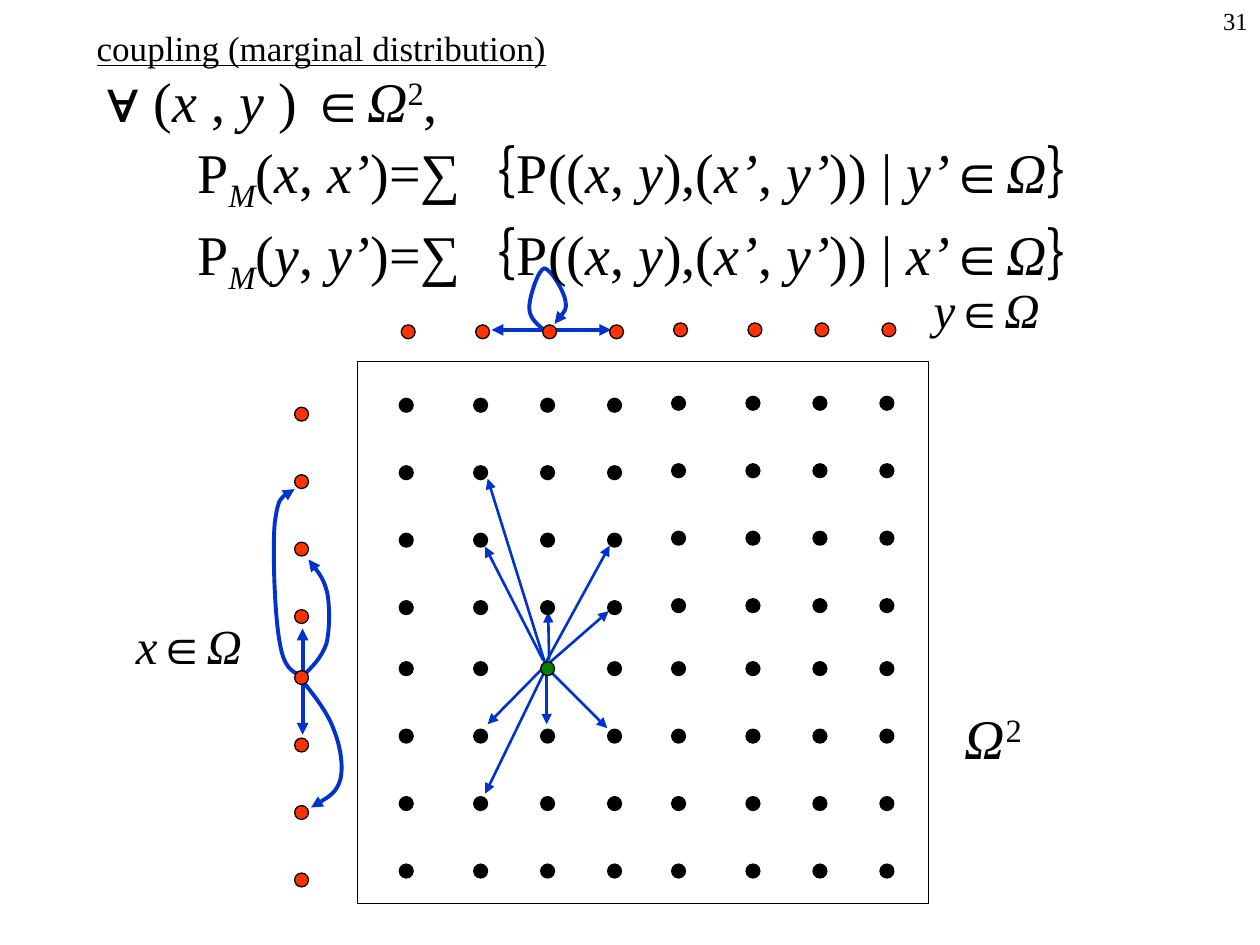
from dataclasses import dataclass
from itertools import product

from pptx import Presentation
from pptx import util as u
from pptx.dml.color import RGBColor
from pptx.enum import shapes, text
from pptx.oxml.ns import qn
from pptx.oxml.xmlchemy import OxmlElement


@dataclass(frozen=True)
class Theme:
    face: str = "Times New Roman"
    ink: str = "000000"
    move: str = "0033CC"
    state: str = "FF3300"
    start: str = "008000"
    formula: int = 32
    label: int = 28
    heading: int = 20
    page: int = 14


THEME = Theme()
MARKS = {"*": "italic", "^": "30000", "_": "-25000"}


def split_marks(markup):
    """Yield (words, italic, baseline); * toggles italic, ^ raises, _ lowers."""
    words, italic, baseline = "", False, None
    for char in markup + "*":
        if char not in MARKS:
            words += char
            continue
        if words:
            yield words, italic, baseline
        words = ""
        if char == "*":
            italic = not italic
        else:
            baseline = None if baseline else MARKS[char]


class SlideWriter:
    def __init__(self, slide, theme):
        self.shapes, self.theme = slide.shapes, theme

    def text(self, left, top, width, height, lines, size, wrap=True,
             anchor=text.MSO_ANCHOR.TOP, underline=None):
        """Each line is a pair: markup and a dict of paragraph format values."""
        frame = self.shapes.add_textbox(*map(u.Cm, (left, top, width, height))).text_frame
        frame.word_wrap, frame.vertical_anchor = wrap, anchor
        for i, (markup, layout) in enumerate(lines):
            para = frame.add_paragraph() if i else frame.paragraphs[0]
            for name, value in layout.items():
                if name == "margin":
                    para._p.get_or_add_pPr().set("marL", str(u.Cm(value)))
                else:
                    setattr(para, name, value)
            for words, italic, baseline in split_marks(markup):
                run = para.add_run()
                run.text = words
                look = {"name": self.theme.face, "size": u.Pt(size),
                        "italic": italic, "underline": underline}
                for name, value in look.items():
                    setattr(run.font, name, value)
                run.font.color.rgb = RGBColor.from_string(self.theme.ink)
                if baseline:
                    run._r.get_or_add_rPr().set("baseline", baseline)

    def preset(self, kind, left, top, width, height, fill=None):
        shape = self.shapes.add_shape(kind, *map(u.Cm, (left, top, width, height)))
        shape.shadow.inherit = False
        if fill:
            shape.fill.solid()
            shape.fill.fore_color.rgb = RGBColor.from_string(fill)
        else:
            shape.fill.background()
        self.stroke(shape, self.theme.ink, 0.75)

    def dot(self, x, y, fill, size=0.28):
        self.preset(shapes.MSO_SHAPE.OVAL, x - size / 2, y - size / 2, size, size, fill)

    def stroke(self, shape, color, width):
        shape.line.color.rgb = RGBColor.from_string(color)
        shape.line.width = u.Pt(width)

    def arrowhead(self, shape):
        head = OxmlElement("a:tailEnd")
        head.set("type", "triangle")
        shape._element.find(qn("p:spPr")).find(qn("a:ln")).append(head)

    def arrow(self, start, end, width):
        line = self.shapes.add_connector(
            shapes.MSO_CONNECTOR.STRAIGHT, *map(u.Cm, (*start, *end)))
        self.stroke(line, self.theme.move, width)
        self.arrowhead(line)
        line._element.find(qn("p:spPr")).append(OxmlElement("a:effectLst"))

    def curved_arrow(self, start, *controls, width=2.25):
        """Arrow along Bezier curves; every three points after start make one."""
        builder = self.shapes.build_freeform(*map(u.Cm, start))
        builder.add_line_segments([tuple(map(u.Cm, p)) for p in controls], close=False)
        curve = builder.convert_to_shape()
        segments = list(curve._element.iter(qn("a:lnTo")))
        for i in range(0, len(segments), 3):
            bezier = OxmlElement("a:cubicBezTo")
            segments[i].addprevious(bezier)
            for segment in segments[i:i + 3]:
                bezier.append(segment[0])
                segment.getparent().remove(segment)
        curve.fill.background()
        curve.shadow.inherit = False
        self.stroke(curve, self.theme.move, width)
        self.arrowhead(curve)


def draw_moves(page):
    pair_moves = [
        ((11, 13.36), (12.29, 11)), ((11.07, 13.31), (11.05, 12.34)),
        ((11.05, 13.49), (12.24, 14.68)), ((11, 13.49), (9.78, 16)),
        ((11, 13.41), (9.83, 9.65)), ((11.02, 13.41), (12.27, 12.32)),
        ((11.02, 13.51), (11.02, 14.6)), ((10.95, 13.31), (9.78, 11.02)),
        ((11, 13.41), (9.83, 14.6))]
    for start, end in pair_moves:
        page.arrow(start, end, 1.5)
    for x in (12.32, 9.91):
        page.arrow((11.07, 6.65), (x, 6.65), 2.25)
    for y in (12.67, 14.81):
        page.arrow((6.1, 13.61), (6.1, y), 2.25)
    page.curved_arrow(
        (11, 6.68), (10.85, 6.55), (10.67, 6.43), (10.67, 6.2),
        (10.67, 5.99), (10.85, 5.44), (10.97, 5.41),
        (11.1, 5.41), (11.38, 5.89), (11.4, 6.07),
        (11.43, 6.25), (11.3, 6.38), (11.18, 6.53))
    page.curved_arrow(
        (6.12, 13.61), (6.3, 13.44), (6.48, 13.26), (6.58, 12.98),
        (6.65, 12.7), (6.65, 12.24), (6.6, 11.96),
        (6.53, 11.68), (6.38, 11.48), (6.22, 11.28))
    page.curved_arrow(
        (6.05, 13.61), (5.89, 13.54), (5.72, 13.46), (5.64, 12.95),
        (5.54, 12.45), (5.49, 11.07), (5.54, 10.54),
        (5.61, 10.03), (5.77, 9.93), (5.94, 9.86))
    page.curved_arrow(
        (6.05, 13.67), (6.32, 14), (6.6, 14.35), (6.73, 14.71),
        (6.86, 15.04), (6.93, 15.44), (6.86, 15.72),
        (6.78, 15.98), (6.53, 16.13), (6.27, 16.28))


def draw_states(page):
    columns = [block + step for block in (8.19, 13.68) for step in (0, 1.5, 2.85, 4.2)]
    rows = [block + 1.36 * i for block in (8.17, 13.48) for i in range(4)]
    half, lift = 4, 0.04  # the upper right dots sit slightly higher
    for (r, y), (c, x) in product(enumerate(rows), enumerate(columns)):
        raised = lift if r < half <= c else 0
        page.dot(x, y - raised, THEME.start if (r, c) == (4, 2) else THEME.ink)
    for c, x in enumerate(columns):
        page.dot(x + 0.04, 6.69 - (lift if c >= half else 0), THEME.state)
    for y in rows:
        page.dot(6.08, y + 0.18, THEME.state)


def main():
    deck = Presentation()
    deck.slide_width, deck.slide_height = u.Cm(25.4), u.Cm(19.05)
    page = SlideWriter(deck.slides.add_slide(deck.slide_layouts[6]), THEME)
    centred = {"alignment": text.PP_ALIGN.CENTER}

    draw_moves(page)
    page.text(1.7, 0.64, 16.3, 0.64, [("coupling (marginal distribution)", {})],
              THEME.heading, anchor=text.MSO_ANCHOR.MIDDLE, underline=True)
    marginals = [
        (f"P_*M*_(*{kept}*, *{kept}’*)=∑｛P((*x*, *y*),(*x’*, *y’*)) | *{summed}’*∈*Ω*｝",
         {"margin": 1.83, "line_spacing": spacing, "space_before": u.Pt(8)})
        for kept, summed, spacing in (("x", "y", 0.8), ("y", "x", 0.9))]
    page.text(1.9, 1.7, 23.5, 15.67,
              [("∀ (*x* , *y *) ∈*Ω*^2^,", {"line_spacing": 0.6}), *marginals],
              THEME.formula)
    draw_states(page)
    page.text(18.57, 5.51, 2.64, 1.45, [("*y*∈*Ω*", centred)], THEME.label, wrap=False)
    page.text(2.49, 12.29, 2.64, 1.45, [("*x*∈*Ω*", centred)], THEME.label, wrap=False)
    page.preset(shapes.MSO_SHAPE.RECTANGLE, 7.21, 7.29, 11.51, 10.92)
    page.text(19.2, 14.05, 1.65, 1.63, [("*Ω*^2^", centred)], THEME.formula, wrap=False)
    page.text(20.12, 0, 5.28, 1.27, [("31", {"alignment": text.PP_ALIGN.RIGHT})], THEME.page)
    deck.save("out.pptx")


if __name__ == "__main__":
    main()
